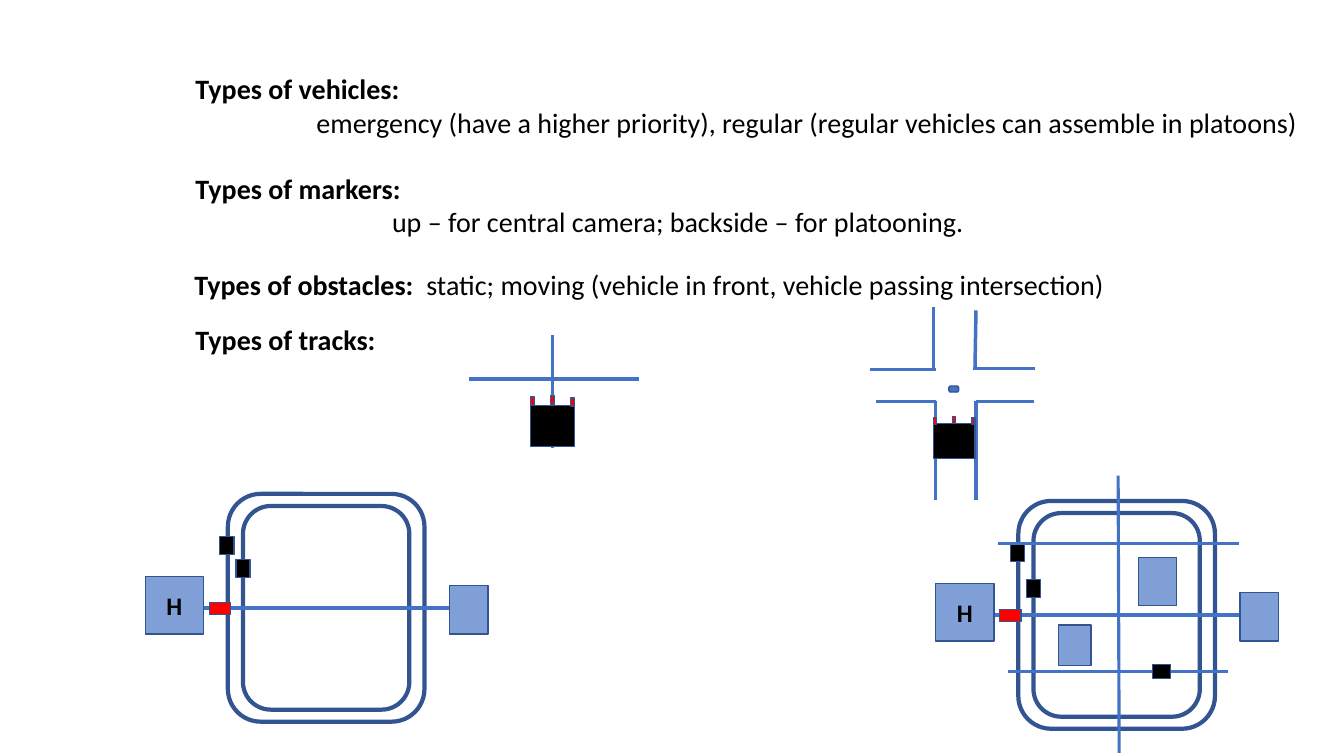
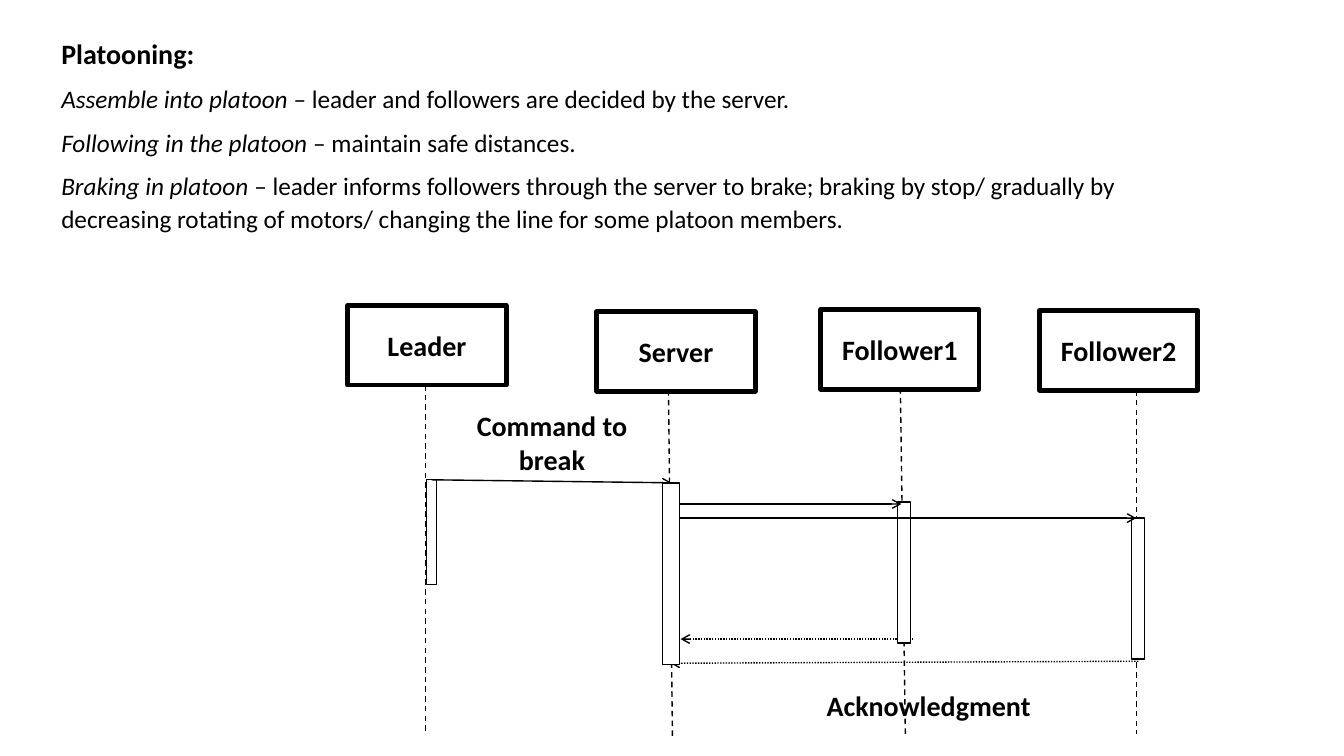
import pptx
import pptx.util
import pptx.dml.color
import pptx.enum.dml
import pptx.enum.shapes
import pptx.enum.text
import pptx.oxml.ns
import lxml.etree

Inches = pptx.util.Inches
Pt = pptx.util.Pt
SHAPE = pptx.enum.shapes.MSO_SHAPE
ALIGN = pptx.enum.text.PP_ALIGN
ANCHOR = pptx.enum.text.MSO_ANCHOR
DASH = pptx.enum.dml.MSO_LINE_DASH_STYLE
qn = pptx.oxml.ns.qn

COLORS = {
    "ink": "000000",
    "paper": "FFFFFF",
    "road": "4472C4",
    "edge": "325491",
    "alert": "FF0000",
}
FONT = "Calibri"
BOLD = {"bold": True}


def rgb(name):
    return pptx.dml.color.RGBColor.from_string(COLORS[name])


def add_run(p, text, size=20, bold=False, italic=False, color="ink"):
    r = p.add_run()
    r.text = text
    r.font.name = FONT
    r.font.size = Pt(size)
    r.font.bold = bold
    r.font.italic = italic
    r.font.color.rgb = rgb(color)


class Deck:
    """Holds the presentation, the current slide and the shared style."""

    def __init__(self):
        self.prs = pptx.Presentation()
        self.prs.slide_width = Inches(13.33)
        self.prs.slide_height = Inches(7.5)

    def new_slide(self):
        self.s = self.prs.slides.add_slide(self.prs.slide_layouts[6])

    def text(self, x, y, w, h, paragraphs, spacing=None, after=0):
        """Each paragraph is (indent in inches, [(text, run format), ...])."""
        tf = self.s.shapes.add_textbox(*map(Inches, (x, y, w, h))).text_frame
        tf.word_wrap = True
        for i, (indent, runs) in enumerate(paragraphs):
            p = tf.add_paragraph() if i else tf.paragraphs[0]
            p.space_after = Pt(after)
            if spacing:
                p.line_spacing = spacing
            if indent:
                p._p.get_or_add_pPr().set("marL", str(Inches(indent)))
            for words, style in runs:
                add_run(p, words, **style)

    def label(self, x, y, w, h, words):
        """Bold text centred both ways, without a frame."""
        sp = self.s.shapes.add_textbox(*map(Inches, (x, y, w, h)))
        self.centre(sp, words)

    def centre(self, sp, words, size=20):
        tf = sp.text_frame
        tf.word_wrap = True
        tf.vertical_anchor = ANCHOR.MIDDLE
        p = tf.paragraphs[0]
        p.alignment = ALIGN.CENTER
        add_run(p, words, size=size, bold=True)

    def shape(self, x, y, w, h, fill=None, edge="edge", width=1,
              kind=SHAPE.RECTANGLE, opacity=None, rotation=0):
        sp = self.s.shapes.add_shape(kind, *map(Inches, (x, y, w, h)))
        sp.shadow.inherit = False
        sp.rotation = rotation
        sp.line.color.rgb = rgb(edge)
        sp.line.width = Pt(width)
        if fill:
            sp.fill.solid()
            sp.fill.fore_color.rgb = rgb(fill)
        else:
            sp.fill.background()
        if opacity:
            clr = sp._element.spPr.find(qn("a:solidFill"))[0]
            alpha = lxml.etree.SubElement(clr, qn("a:alpha"))
            alpha.set("val", str(opacity * 1000))
        return sp

    def line(self, x1, y1, x2, y2, color="road", width=2.25, dash=None, arrow=False):
        c = self.s.shapes.add_connector(
            pptx.enum.shapes.MSO_CONNECTOR.STRAIGHT, *map(Inches, (x1, y1, x2, y2)))
        c.line.color.rgb = rgb(color)
        c.line.width = Pt(width)
        if dash:
            c.line.dash_style = dash
        if arrow:
            ln = c.line._get_or_add_ln()
            lxml.etree.SubElement(ln, qn("a:tailEnd")).set("type", "arrow")
        lxml.etree.SubElement(c._element.spPr, qn("a:effectLst"))

    def building(self, x, y, w=0.38, h=0.48):
        return self.shape(x, y, w, h, "road", opacity=68)

    def vehicle(self, x, y, rotation=0):
        self.shape(x, y, 0.14, 0.18, "ink", rotation=rotation)

    def loop_track(self, x, y, second_vehicle):
        """Double ring road with a hospital on the left; x, y is its outer corner."""
        ring = {"width": 3, "kind": SHAPE.ROUNDED_RECTANGLE}
        self.shape(x, y, 1.95, 2.26, **ring)
        self.shape(x + 0.15, y + 0.12, 1.65, 2.02, **ring)
        self.line(x - 0.25, y + 1.13, x + 2.2, y + 1.13, width=2.75)
        self.centre(self.building(x - 0.82, y + 0.82, 0.58, 0.57), "H", size=18)
        self.building(x + 2.2, y + 0.91)
        self.vehicle(x - 0.08, y + 0.42)
        self.vehicle(x + 0.08, y + second_vehicle)
        self.shape(x - 0.14, y + 1.03, 0.12, 0.21, "alert", rotation=90)

    def sensor_car(self, x, y, w, h, sensor_w, sensor_h, sensor_tops):
        """Car with sensors spread evenly along its front edge."""
        self.shape(x, y, w, h, "ink")
        step = (w - sensor_w) / (len(sensor_tops) - 1)
        for i, top in enumerate(sensor_tops):
            self.shape(x + i * step, top, sensor_w, sensor_h, "alert")

    def actor(self, x, y, name, life):
        """Framed name with the dashed lifeline below it."""
        self.centre(self.shape(x, y, 1.57, 0.79, edge="ink", width=3.5), name)
        self.line(*life, color="ink", width=1, dash=DASH.DASH)

    def activation(self, x, y, w, h):
        self.shape(x, y, w, h, "paper", edge="ink")

    def message(self, x1, y1, x2, y2, dash=None):
        self.line(x1, y1, x2, y2, color="ink", width=1, dash=dash, arrow=True)


def tracks_slide(d):
    d.new_slide()
    d.text(1.84, 0.66, 11.54, 0.77, [
        (0, [("Types of vehicles:", BOLD)]),
        (1.2, [("emergency (have a higher priority), regular "
                "(regular vehicles can assemble in platoons)", {})])])
    d.text(1.84, 1.65, 10.83, 0.77, [
        (0, [("Types of markers:", BOLD)]),
        (1.95, [("up – for central camera; backside – for platooning.", {})])])
    d.text(1.83, 2.6, 11.23, 0.44, [
        (0, [("Types of obstacles:  ", BOLD),
             ("static; moving (vehicle in front, vehicle passing intersection)", {})])])
    d.text(1.84, 3.15, 10.16, 0.44, [(0, [("Types of tracks:", BOLD)])])

    d.loop_track(2.26, 4.9, second_vehicle=0.65)

    d.loop_track(10.1, 4.97, second_vehicle=0.78)
    d.line(11.09, 4.72, 11.1, 7.47)
    d.line(10, 6.66, 12.18, 6.66)
    d.line(9.9, 5.39, 12.29, 5.39)
    d.building(11.29, 5.53)
    d.building(10.5, 6.2, 0.32, 0.4)
    d.vehicle(11.45, 6.57, rotation=90)

    # Line-following crossing
    d.line(5.48, 3.32, 5.48, 4.44, width=2.5)
    d.line(4.65, 3.76, 6.34, 3.76)
    d.sensor_car(5.26, 4.02, 0.44, 0.41, 0.04, 0.08, (3.94, 3.93, 3.95))

    # Crossing of two-lane roads
    for x in (9.28, 9.68):
        d.line(x, 3.98, x, 4.96, width=2.5)
    d.sensor_car(9.26, 4.2, 0.41, 0.35, 0.03, 0.07, (4.14, 4.13, 4.14))
    for x1, x2, y in ((8.69, 9.28, 3.98), (9.68, 10.26, 3.98),
                      (8.63, 9.28, 3.67), (9.68, 10.27, 3.66)):
        d.line(x1, y, x2, y)
    d.line(9.26, 3.05, 9.26, 3.67, width=2.5)
    d.line(9.68, 3.08, 9.67, 3.67, width=2.5)
    d.shape(9.41, 3.83, 0.1, 0.06, "road", kind=SHAPE.FLOWCHART_TERMINATOR)


def platooning_slide(d):
    d.new_slide()
    plain = {"size": 18}
    term = {"size": 18, "italic": True}
    d.text(0.51, 0.29, 11.73, 2.08, [
        (0, [("Platooning:", BOLD)]),
        (0, [("Assemble into platoon", term),
             (" – leader and followers are decided by the server.", plain)]),
        (0, [("Following in the platoon ", term),
             ("– maintain safe distances.", plain)]),
        (0, [("Braking in platoon ", term),
             ("– leader informs followers through the server to brake; braking by "
              "stop/ gradually by decreasing rotating of motors/ changing the line "
              "for some platoon members.", plain)]),
    ], spacing=1.07, after=8)

    d.actor(3.45, 3.03, "Leader", (4.22, 3.82, 4.22, 7.28))
    d.actor(5.92, 3.09, "Server", (6.63, 3.87, 6.67, 7.33))
    d.actor(8.14, 3.07, "Follower1", (8.93, 3.85, 8.98, 7.32))
    d.actor(10.31, 3.08, "Follower2", (11.27, 3.87, 11.27, 7.28))

    d.label(4.48, 4.12, 1.99, 0.54, "Command to break")
    d.activation(4.23, 4.76, 0.1, 1.04)
    d.message(9.06, 6.34, 6.75, 6.34, dash=DASH.ROUND_DOT)
    d.message(11.29, 6.56, 6.65, 6.58, dash=DASH.ROUND_DOT)
    d.activation(8.9, 4.98, 0.13, 1.4)
    d.activation(11.22, 5.14, 0.13, 1.4)
    d.message(4.28, 4.76, 6.66, 4.79)
    d.message(6.7, 5, 8.94, 5)
    d.message(6.67, 5.14, 11.27, 5.14)
    d.activation(6.57, 4.79, 0.17, 1.8)
    d.label(7.8, 6.76, 2.82, 0.47, "Acknowledgment")


def main():
    d = Deck()
    tracks_slide(d)
    platooning_slide(d)
    d.prs.save("out.pptx")


if __name__ == "__main__":
    main()
